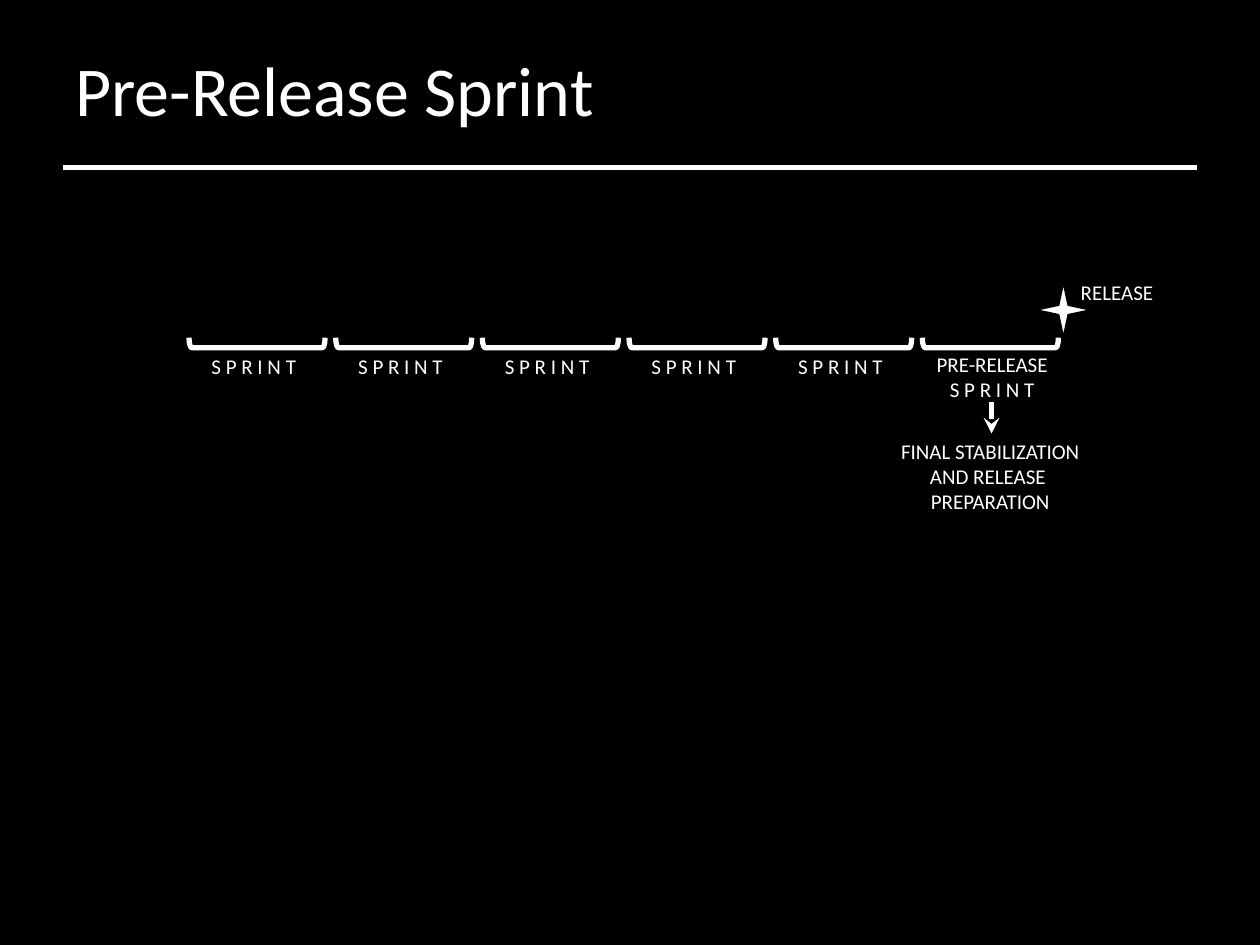
"""Build the Pre-Release Sprint timeline slide."""
from copy import deepcopy
from dataclasses import dataclass

from lxml import etree
from pptx import Presentation
from pptx.dml.color import RGBColor
from pptx.enum.shapes import MSO_CONNECTOR, MSO_SHAPE
from pptx.enum.text import MSO_ANCHOR, MSO_AUTO_SIZE, PP_ALIGN
from pptx.oxml.ns import qn
from pptx.util import Inches, Pt

STRAIGHT = MSO_CONNECTOR.STRAIGHT
BRACKET, STAR = MSO_SHAPE.RIGHT_BRACKET, MSO_SHAPE.STAR_4_POINT
LEFT, CENTER = PP_ALIGN.LEFT, PP_ALIGN.CENTER
TOP, MIDDLE = MSO_ANCHOR.TOP, MSO_ANCHOR.MIDDLE
NO_FIT, GROW = MSO_AUTO_SIZE.NONE, MSO_AUTO_SIZE.SHAPE_TO_FIT_TEXT


@dataclass(frozen=True)
class Theme:
    dark: RGBColor = RGBColor(0, 0, 0)
    light: RGBColor = RGBColor(255, 255, 255)
    font: str = "Calibri"
    title_size: int = 40
    label_size: int = 12
    thick: float = 3
    thin: float = 0.75


class SlideBuilder:
    def __init__(self, slide, theme):
        self.slide = slide
        self.theme = theme
        slide.background.fill.solid()
        slide.background.fill.fore_color.rgb = theme.dark

    def set_line(self, shape, color, width):
        shape.line.color.rgb = color
        shape.line.width = Pt(width)

    def text(self, content, box, size, align, frame_format):
        shape = self.slide.shapes.add_textbox(*map(Inches, box))
        for name, value in frame_format.items():
            setattr(shape.text_frame, name, value)
        paragraph = shape.text_frame.paragraphs[0]
        paragraph.text = content
        paragraph.alignment = align
        font_format = {"name": self.theme.font, "size": Pt(size)}
        for run in paragraph.runs:
            for name, value in font_format.items():
                setattr(run.font, name, value)
            run.font.color.rgb = self.theme.light
        run_properties = paragraph.runs[0]._r.rPr
        for line_break in paragraph._p.findall(qn("a:br")):
            line_break.append(deepcopy(run_properties))
        return shape

    def title(self, content, box):
        frame_format = {"word_wrap": True, "auto_size": NO_FIT, "vertical_anchor": MIDDLE}
        return self.text(content, box, self.theme.title_size, LEFT, frame_format)

    def label(self, content, box, align=CENTER):
        frame_format = {"word_wrap": False, "auto_size": GROW, "vertical_anchor": TOP}
        return self.text(content, box, self.theme.label_size, align, frame_format)

    def shape(self, kind, box, adjustment):
        shape = self.slide.shapes.add_shape(kind, *map(Inches, box))
        shape.shadow.inherit = False
        shape.adjustments[0] = adjustment
        return shape

    def bracket(self, box):
        shape = self.shape(BRACKET, box, 0.26)
        shape.rotation = 90
        shape.fill.background()
        self.set_line(shape, self.theme.light, self.theme.thick)

    def star(self, box):
        shape = self.shape(STAR, box, 0.125)
        shape.fill.solid()
        shape.fill.fore_color.rgb = self.theme.light
        self.set_line(shape, self.theme.dark, self.theme.thin)
        return shape

    def line(self, start, end, arrow=False):
        connector = self.slide.shapes.add_connector(STRAIGHT, *map(Inches, start + end))
        self.set_line(connector, self.theme.light, self.theme.thick)
        properties = connector._element.spPr
        if arrow:
            etree.SubElement(properties.find(qn("a:ln")), qn("a:tailEnd"), type="stealth")
        etree.SubElement(properties, qn("a:effectLst"))

    def group(self, *shapes):
        self.slide.shapes.add_group_shape(shapes)


def main():
    presentation = Presentation()
    presentation.slide_width, presentation.slide_height = Inches(10), Inches(7.5)
    slide = presentation.slides.add_slide(presentation.slide_layouts[6])
    builder = SlideBuilder(slide, Theme())

    builder.line((0.5, 1.33), (9.5, 1.33))
    builder.title("Pre-Release Sprint", (0.5, 0.08, 9.5, 1.25))

    sprint_count = 6
    first_left, last_left = 2, 7.82
    step = (last_left - first_left) / (sprint_count - 1)
    for index in range(sprint_count):
        left = first_left + index * step
        builder.bracket((left, 2.18, 0.08, 1.08))
        if index < sprint_count - 1:
            builder.label("S P R I N T", (left - 0.42, 2.76, 0.92, 0.3), LEFT)

    builder.label("PRE-RELEASE\nS P R I N T", (7.29, 2.74, 1.17, 0.51))
    builder.group(
        builder.label("RELEASE", (8.44, 2.17, 0.85, 0.3)),
        builder.star((8.23, 2.25, 0.42, 0.42)),
    )
    builder.label("FINAL STABILIZATION\nAND RELEASE \nPREPARATION", (6.98, 3.43, 1.76, 0.71))
    builder.line((7.87, 3.19), (7.87, 3.44), arrow=True)

    presentation.save("out.pptx")


if __name__ == "__main__":
    main()
